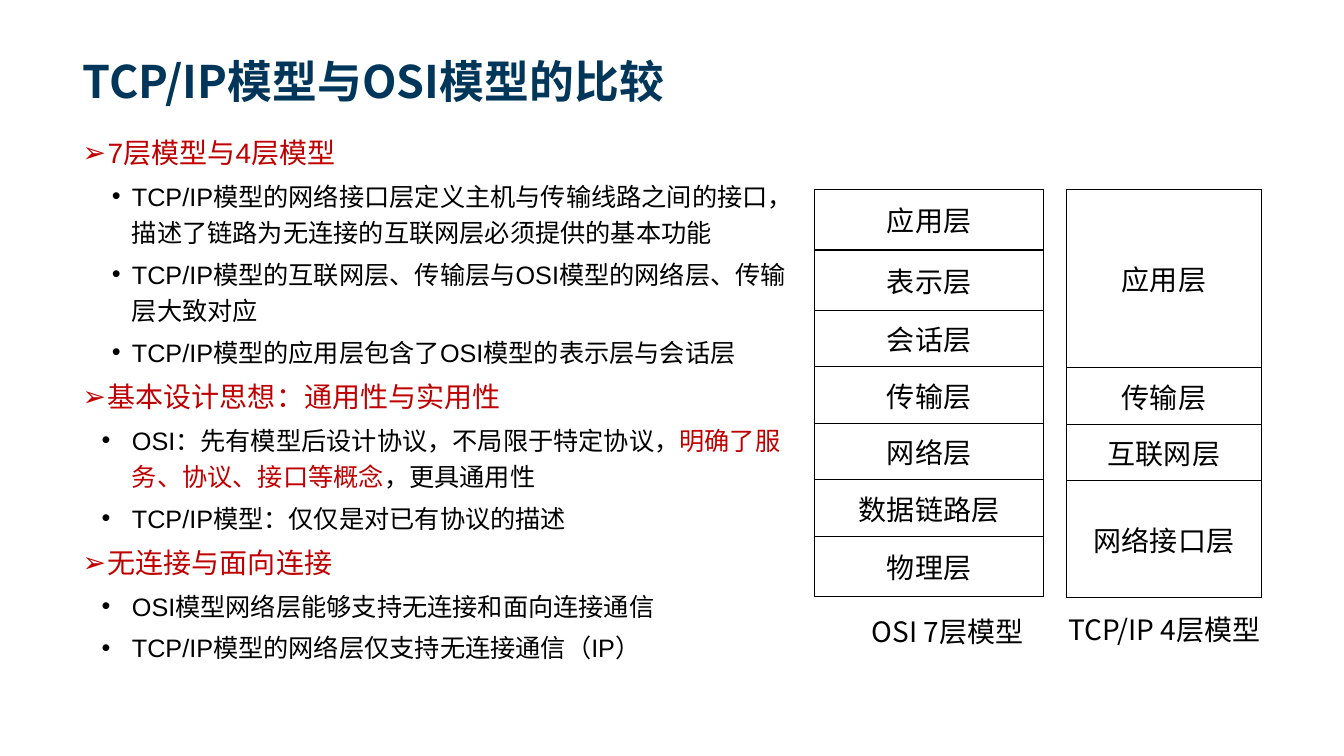
from lxml import etree
from pptx import Presentation
from pptx.dml.color import RGBColor
from pptx.enum.text import MSO_ANCHOR, PP_ALIGN
from pptx.oxml.ns import qn
from pptx.util import Pt

LEFT, CENTER = PP_ALIGN.LEFT, PP_ALIGN.CENTER
TOP, MIDDLE, BOTTOM = MSO_ANCHOR.TOP, MSO_ANCHOR.MIDDLE, MSO_ANCHOR.BOTTOM

NAVY = RGBColor(0x00, 0x36, 0x59)
RED = RGBColor(0xC0, 0x00, 0x00)
BLACK = RGBColor(0x00, 0x00, 0x00)

EMU_PER_PX = 9144
SANS = "Noto Sans CJK SC"
LATIN = "Arial"

TOPICS = [
    ("7层模型与4层模型", 20, [
        [("TCP/IP模型的网络接口层定义主机与传输线路之间的接口，描述了链路为无连接的互联网层必须提供的基本功能", BLACK)],
        [("TCP/IP模型的互联网层、传输层与OSI模型的网络层、传输层大致对应", BLACK)],
        [("TCP/IP模型的应用层包含了OSI模型的表示层与会话层", BLACK)],
    ]),
    ("基本设计思想：通用性与实用性", 30, [
        [("OSI：先有模型后设计协议，不局限于特定协议，", BLACK),
         ("明确了服务、协议、接口等概念", RED),
         ("，更具通用性", BLACK)],
        [("TCP/IP模型：仅仅是对已有协议的描述", BLACK)],
    ]),
    ("无连接与面向连接", 30, [
        [("OSI模型网络层能够支持无连接和面向连接通信", BLACK)],
        [("TCP/IP模型的网络层仅支持无连接通信（IP）", BLACK)],
    ]),
]

OSI_LAYERS = [("应用层", 60), ("表示层", 60), ("会话层", 56), ("传输层", 56),
              ("网络层", 56), ("数据链路层", 56), ("物理层", 60)]
TCP_LAYERS = [("应用层", 177), ("传输层", 56), ("互联网层", 56), ("网络接口层", 116)]


def px(length):
    return length * EMU_PER_PX


def add_span(para, text, size=20, color=BLACK, font=SANS, bold=False):
    span = para.add_run()
    span.text = text
    span.font.size = Pt(size)
    span.font.bold = bold
    span.font.name = font
    span.font.color.rgb = color
    properties = span.font._element
    etree.SubElement(properties, qn("a:ea"), typeface=SANS)


def set_bullet(para, mark, margin, hanging):
    properties = para._p.get_or_add_pPr()
    properties.set("marL", str(px(margin)))
    properties.set("indent", str(px(-hanging)))
    etree.SubElement(properties, qn("a:buFont"), typeface=LATIN)
    etree.SubElement(properties, qn("a:buChar"), char=mark)


def set_borders(cell, color, width):
    properties = cell._tc.get_or_add_tcPr()
    for position, side in enumerate(("a:lnL", "a:lnR", "a:lnT", "a:lnB")):
        line = etree.Element(qn(side), w=str(Pt(width)))
        fill = etree.SubElement(line, qn("a:solidFill"))
        etree.SubElement(fill, qn("a:srgbClr"), val=str(color))
        properties.insert(position, line)


class SlideBuilder:
    def __init__(self, deck):
        self.page = deck.slides.add_slide(deck.slide_layouts[6])

    def frame(self, left, top, width, height, anchor=TOP):
        box = self.page.shapes.add_textbox(px(left), px(top), px(width), px(height))
        box.text_frame.word_wrap = True
        box.text_frame.vertical_anchor = anchor
        return box.text_frame

    def label(self, left, top, width, height, text, align=LEFT, anchor=TOP, **style):
        para = self.frame(left, top, width, height, anchor).paragraphs[0]
        para.alignment = align
        add_span(para, text, **style)

    def outline(self, left, top, width, height, topics):
        frame = self.frame(left, top, width, height)
        lines = []
        for heading, hanging, points in topics:
            lines.append(("➢", 25, 25, 20, [(heading, RED)]))
            lines += [("•", 49, hanging, 18, point) for point in points]
        for index, (mark, margin, hanging, size, spans) in enumerate(lines):
            para = frame.add_paragraph() if index else frame.paragraphs[0]
            para.level = 0 if mark == "➢" else 1
            para.line_spacing = 1.2
            if index:
                para.space_before = Pt(4)
            set_bullet(para, mark, margin, hanging)
            for text, color in spans:
                add_span(para, text, size=size, color=color, font=LATIN)

    def layer_stack(self, left, top, width, layers):
        height = sum(row_height for _, row_height in layers)
        table = self.page.shapes.add_table(
            len(layers), 1, px(left), px(top), px(width), px(height)).table
        table.first_row = False
        table.horz_banding = False
        for index, (name, row_height) in enumerate(layers):
            table.rows[index].height = px(row_height)
            cell = table.cell(index, 0)
            cell.fill.background()
            cell.vertical_anchor = MIDDLE
            set_borders(cell, BLACK, 1)
            para = cell.text_frame.paragraphs[0]
            para.alignment = CENTER
            add_span(para, name)


def main():
    deck = Presentation()
    deck.slide_width, deck.slide_height = px(1333), px(750)
    slide = SlideBuilder(deck)
    slide.label(72, 0, 1188, 112, "TCP/IP模型与OSI模型的比较",
                anchor=BOTTOM, size=32, color=NAVY, bold=True)
    slide.outline(72, 123, 721, 570, TOPICS)
    slide.layer_stack(808, 188, 227, OSI_LAYERS)
    slide.layer_stack(1058, 188, 193, TCP_LAYERS)
    slide.label(822, 605, 236, 50, "OSI 7层模型", align=CENTER)
    slide.label(1037, 603, 236, 50, "TCP/IP 4层模型", align=CENTER)
    deck.save("out.pptx")


if __name__ == "__main__":
    main()
